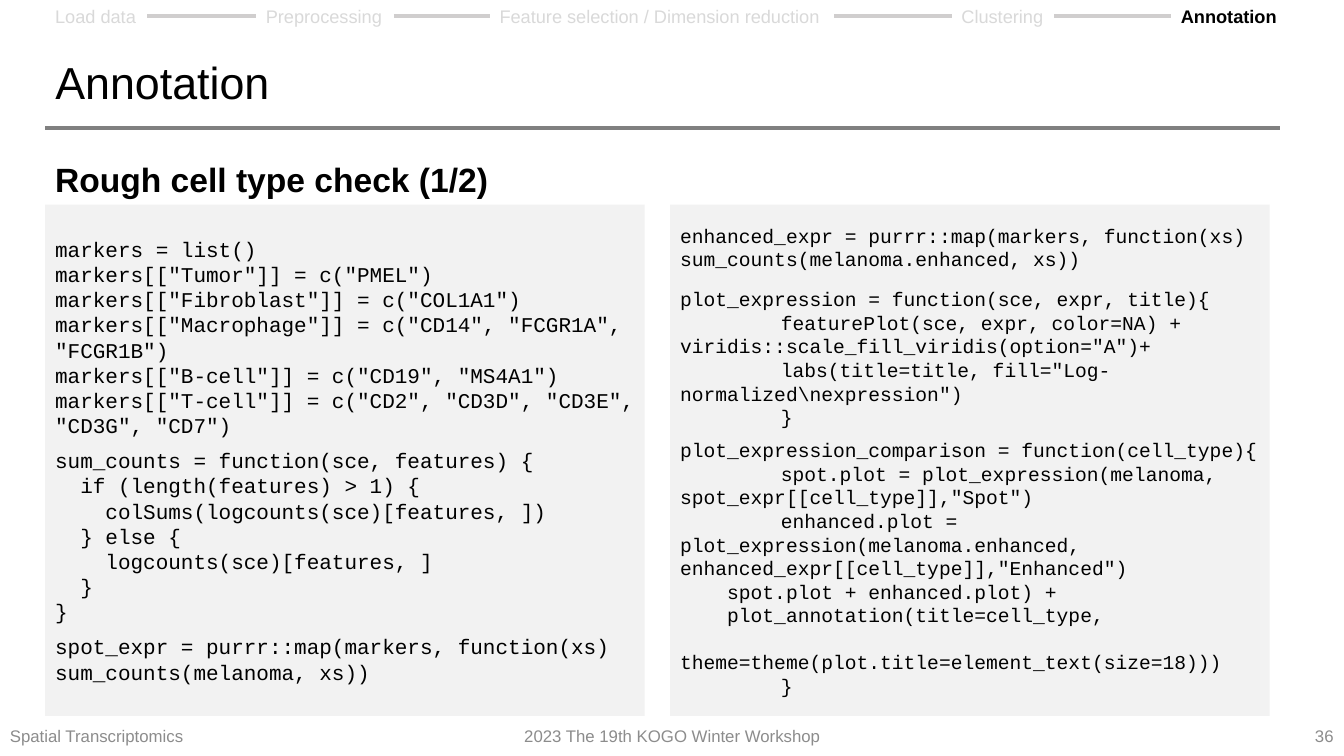
"""Build the Annotation slide with its workflow trail and two code panels."""
from lxml.etree import SubElement
from pptx import Presentation
from pptx.dml.color import RGBColor
from pptx.enum.shapes import MSO_CONNECTOR, MSO_SHAPE
from pptx.enum.text import MSO_ANCHOR, MSO_AUTO_SIZE, PP_ALIGN
from pptx.oxml.ns import qn
from pptx.util import Cm, Pt

COLORS = {"ink": "000000", "faded": "D9D9D9", "trail": "D0CECE",
          "rule": "808080", "footer": "8C8C8C", "panel": "F2F2F2"}
TITLE = "Annotation"
HEADING = "Rough cell type check (1/2)"
STEPS = [("Load data", 1.14, 3.71),
         ("Preprocessing", 6.45, 9.93),
         ("Feature selection / Dimension reduction", 12.34, 21.03),
         ("Clustering", 23.98, 26.57),
         ("Annotation", 29.51, 32.49)]
FOOTERS = [("Spatial Transcriptomics", 0, 7.62, PP_ALIGN.LEFT),
           ("2023 The 19th KOGO Winter Workshop", 11.23, 11.43, PP_ALIGN.CENTER),
           ("36", 32.46, 1.4, PP_ALIGN.RIGHT)]
MARKER_CODE = [
    (0, ['markers = list()',
         'markers[["Tumor"]] = c("PMEL")',
         'markers[["Fibroblast"]] = c("COL1A1")',
         'markers[["Macrophage"]] = c("CD14", "FCGR1A", "FCGR1B")',
         'markers[["B-cell"]] = c("CD19", "MS4A1")',
         'markers[["T-cell"]] = c("CD2", "CD3D", "CD3E", "CD3G", "CD7")']),
    (7, ['sum_counts = function(sce, features) {',
         '  if (length(features) > 1) {',
         '    colSums(logcounts(sce)[features, ])',
         '  } else {',
         '    logcounts(sce)[features, ]',
         '  }',
         '}']),
    (7, ['spot_expr = purrr::map(markers, function(xs) sum_counts(melanoma, xs))']),
]
PLOT_CODE = [
    (0, ['enhanced_expr = purrr::map(markers, function(xs) '
         'sum_counts(melanoma.enhanced, xs))']),
    (12, ['plot_expression = function(sce, expr, title){',
          '\tfeaturePlot(sce, expr, color=NA) + \tviridis::scale_fill_viridis(option="A")+',
          '\tlabs(title=title, fill="Log-normalized\\nexpression")',
          '\t}']),
    (7, ['plot_expression_comparison = function(cell_type){',
         '\tspot.plot = plot_expression(melanoma, \t\tspot_expr[[cell_type]],"Spot")',
         '\tenhanced.plot = \tplot_expression(melanoma.enhanced,'
         '\tenhanced_expr[[cell_type]],"Enhanced")',
         '    spot.plot + enhanced.plot) +',
         '    plot_annotation(title=cell_type,',
         '    theme=theme(plot.title=element_text(size=18)))',
         '\t}']),
]
PANELS = [(MARKER_CODE, 15), (PLOT_CODE, 14)]
MARGIN, PANEL_TOP, PANEL_WIDTH, PANEL_HEIGHT, PANEL_GAP = 1.14, 5.16, 15.11, 12.88, 0.64
TAB_WIDTH = Cm(2.54)


def color(name):
    return RGBColor.from_string(COLORS[name])


def style(frame, size, ink="ink", font="Arial", bold=False, align=PP_ALIGN.LEFT):
    for para in frame.paragraphs:
        para.alignment = align
        for span in para.runs:
            span.font.name = font
            span.font.size = Pt(size)
            span.font.bold = bold
            span.font.color.rgb = color(ink)


def add_label(page, text, left, top, width, height, wrap=False):
    box = page.shapes.add_textbox(Cm(left), Cm(top), Cm(width), Cm(height))
    frame = box.text_frame
    frame.text = text
    frame.word_wrap = wrap
    frame.auto_size = MSO_AUTO_SIZE.NONE if wrap else MSO_AUTO_SIZE.SHAPE_TO_FIT_TEXT
    return box


def add_line(page, ink, left=0, right=0, y=0):
    line = page.shapes.add_connector(MSO_CONNECTOR.STRAIGHT,
                                     Cm(left), Cm(y), Cm(right), Cm(y))
    line.line.color.rgb = color(ink)
    line.line.width = Pt(3)
    SubElement(line._element.spPr, qn("a:effectLst"))
    return line


def add_title(page):
    title = page.shapes.title
    title.left, title.top, title.width, title.height = Cm(MARGIN), Cm(1.04), Cm(32.7), Cm(2.18)
    frame = title.text_frame
    frame.text = TITLE
    frame.vertical_anchor = MSO_ANCHOR.MIDDLE
    frame.paragraphs[0].line_spacing = 0.9
    style(frame, 32)


def add_trail(page):
    boxes = []
    for text, left, right in STEPS:
        current = text == TITLE
        box = add_label(page, text, left, 0, right - left, 0.81)
        style(box.text_frame, 13, "ink" if current else "faded", bold=current)
        boxes.append(box)
    for before, after in zip(boxes, boxes[1:]):
        line = add_line(page, "trail")
        line.begin_connect(before, 3)
        line.end_connect(after, 1)


def add_panel(page, column, blocks, size):
    left = MARGIN + column * (PANEL_WIDTH + PANEL_GAP)
    panel = page.shapes.add_shape(MSO_SHAPE.RECTANGLE, Cm(left), Cm(PANEL_TOP),
                                  Cm(PANEL_WIDTH), Cm(PANEL_HEIGHT))
    panel.shadow.inherit = False
    panel.fill.solid()
    panel.fill.fore_color.rgb = color("panel")
    panel.line.fill.background()
    frame = panel.text_frame
    frame.word_wrap = True
    frame.vertical_anchor = MSO_ANCHOR.MIDDLE
    frame.text = "\n".join(line for _, lines in blocks for line in lines)
    style(frame, size, font="Courier New")
    for para in frame.paragraphs:
        para._p.get_or_add_pPr().set("defTabSz", str(TAB_WIDTH))
    start = 0
    for gap, lines in blocks:
        if gap:
            frame.paragraphs[start].space_before = Pt(gap)
        start += len(lines)


def main():
    deck = Presentation()
    deck.slide_width, deck.slide_height = Cm(33.87), Cm(19.05)
    page = deck.slides.add_slide(deck.slide_layouts[5])
    add_line(page, "rule", MARGIN, 32.26, 3.23)
    add_title(page)
    for text, left, width, align in FOOTERS:
        box = add_label(page, text, left, 18.03, width, 1.02, wrap=True)
        box.text_frame.vertical_anchor = MSO_ANCHOR.MIDDLE
        style(box.text_frame, 12, "footer", align=align)
    for column, (blocks, size) in enumerate(PANELS):
        add_panel(page, column, blocks, size)
    add_trail(page)
    heading = add_label(page, HEADING, MARGIN, 3.89, 11.53, 1.27)
    style(heading.text_frame, 24, bold=True)
    deck.save("out.pptx")


if __name__ == "__main__":
    main()
